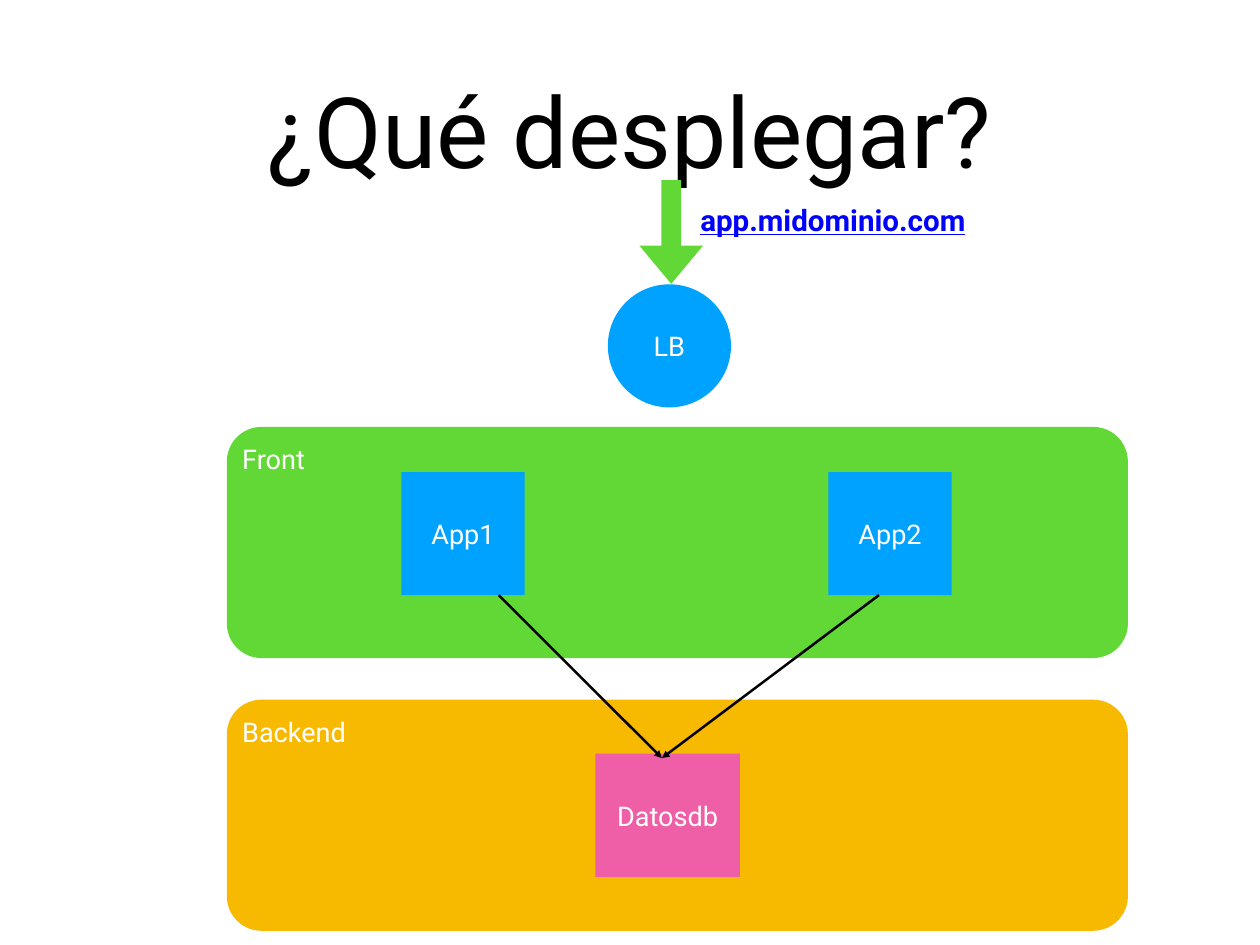
from dataclasses import dataclass

from lxml.etree import SubElement
from pptx import Presentation
from pptx.dml.color import RGBColor
from pptx.enum.shapes import MSO_CONNECTOR, MSO_SHAPE
from pptx.enum.text import MSO_ANCHOR, MSO_AUTO_SIZE, PP_ALIGN
from pptx.oxml.ns import qn
from pptx.util import Inches, Pt


@dataclass(frozen=True)
class Theme:
    font: str = "Roboto"
    white: str = "FFFFFF"
    black: str = "000000"
    green: str = "61D836"
    blue: str = "00A2FF"
    amber: str = "F7BA01"
    pink: str = "EF5FA7"
    link: str = "0000FF"
    title_size: int = 80
    link_size: int = 24
    label_size: int = 22
    line_width: int = 2


THEME = Theme()
INSET = Inches(0.06)
NODE_SIZE = 1.39
ZONE_LEFT, ZONE_WIDTH, ZONE_HEIGHT = 2.56, 10.17, 2.61
APP_TOP = 5.33
DATABASE_ENTRY = (7.47, 8.56)


def write_text(frame, text, size=THEME.label_size, color=THEME.white, bold=False,
               underline=False, align=PP_ALIGN.CENTER, anchor=MSO_ANCHOR.MIDDLE,
               wrap=True, fit=MSO_AUTO_SIZE.NONE):
    frame.margin_left = frame.margin_right = INSET
    frame.margin_top = frame.margin_bottom = INSET
    frame.word_wrap = wrap
    frame.auto_size = fit
    frame.vertical_anchor = anchor
    para = frame.paragraphs[0]
    para.alignment = align
    span = para.add_run()
    span.text = text
    span.font.name = THEME.font
    span.font.size = Pt(size)
    span.font.bold = bold
    span.font.underline = underline
    span.font.color.rgb = RGBColor.from_string(color)


def add_title(page, text):
    title = page.shapes.title
    title.left, title.top = Inches(1.04), Inches(0.28)
    title.width, title.height = Inches(12.14), Inches(2.36)
    write_text(title.text_frame, text, size=THEME.title_size, color=THEME.black)


def add_filled(page, kind, left, top, width, height, color):
    shape = page.shapes.add_shape(
        kind, Inches(left), Inches(top), Inches(width), Inches(height))
    shape.shadow.inherit = False
    shape.fill.solid()
    shape.fill.fore_color.rgb = RGBColor.from_string(color)
    shape.line.fill.background()
    return shape


def add_zone(page, text, top, color):
    zone = add_filled(page, MSO_SHAPE.ROUNDED_RECTANGLE, ZONE_LEFT, top,
                      ZONE_WIDTH, ZONE_HEIGHT, color)
    zone.adjustments[0] = 0.15
    write_text(zone.text_frame, text, align=PP_ALIGN.LEFT, anchor=MSO_ANCHOR.TOP)


def add_node(page, text, left, top, width=NODE_SIZE, color=THEME.blue,
             kind=MSO_SHAPE.RECTANGLE):
    node = add_filled(page, kind, left, top, width, NODE_SIZE, color)
    write_text(node.text_frame, text)


def add_arrow(page, start, end):
    arrow = page.shapes.add_connector(
        MSO_CONNECTOR.STRAIGHT, *(Inches(value) for value in (*start, *end)))
    arrow.line.width = Pt(THEME.line_width)
    arrow.line.color.rgb = RGBColor.from_string(THEME.black)
    properties = arrow.element.spPr
    SubElement(properties.find(qn("a:ln")), qn("a:tailEnd"), type="triangle")
    SubElement(properties, qn("a:effectLst"))


def add_address(page, text):
    box = page.shapes.add_textbox(Inches(7.76), Inches(2.23), Inches(3.28), Inches(0.5))
    write_text(box.text_frame, text, size=THEME.link_size, color=THEME.link, bold=True,
               underline=True, wrap=False, fit=MSO_AUTO_SIZE.SHAPE_TO_FIT_TEXT)


def add_entry_arrow(page):
    arrow = add_filled(page, MSO_SHAPE.RIGHT_ARROW, 6.99, 2.26, 1.17, 0.72, THEME.green)
    arrow.rotation = 90
    arrow.adjustments[0] = 0.31
    arrow.adjustments[1] = 0.6


def main():
    deck = Presentation()
    deck.slide_width, deck.slide_height = Inches(14.22), Inches(10.67)
    page = deck.slides.add_slide(deck.slide_layouts.get_by_name("Title Only"))

    add_title(page, "¿Qué desplegar?")
    add_zone(page, "Front", 4.82, THEME.green)
    add_zone(page, "Backend", 7.9, THEME.amber)
    for text, left in (("App1", 4.53), ("App2", 9.35)):
        add_node(page, text, left, APP_TOP)
    add_node(page, "Datosdb", 6.72, 8.51, width=1.63, color=THEME.pink)
    for exit_left in (5.63, 9.92):
        add_arrow(page, (exit_left, APP_TOP + NODE_SIZE), DATABASE_ENTRY)
    add_node(page, "LB", 6.86, 3.21, kind=MSO_SHAPE.OVAL)
    add_address(page, "app.midominio.com")
    add_entry_arrow(page)

    deck.save("out.pptx")


if __name__ == "__main__":
    main()
